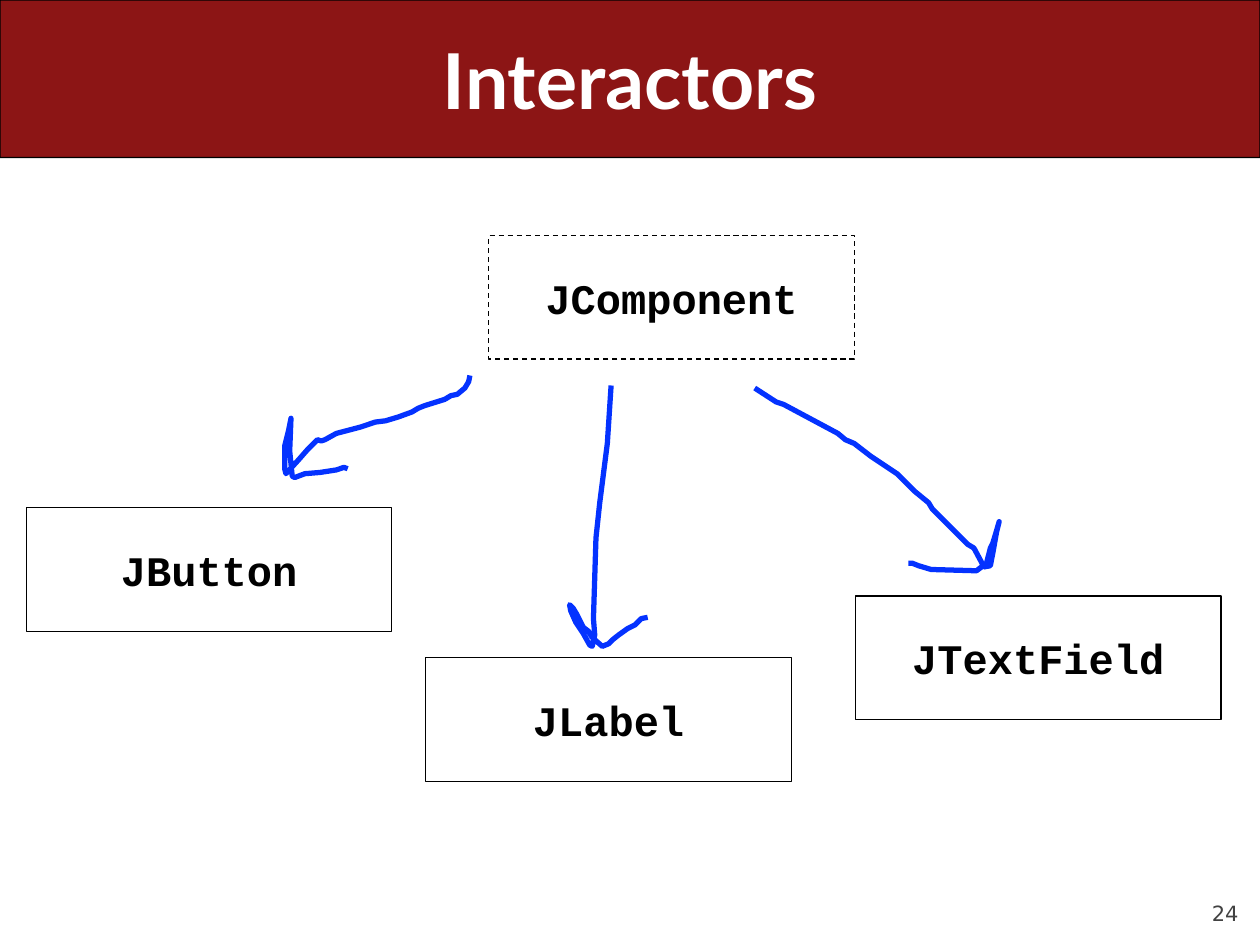
from pptx import Presentation
from pptx.dml.color import RGBColor
from pptx.enum.dml import MSO_LINE
from pptx.enum.shapes import MSO_SHAPE
from pptx.enum.text import MSO_ANCHOR, PP_ALIGN
from pptx.util import Inches, Pt

# The grid has 1000 columns and 750 rows of square cells.
COLS, ROWS = 1000, 750
CELL = Inches(10) // COLS
INK = {"band": "8C1515", "page": "FFFFFF", "text": "000000",
       "pen": "0432FF", "foot": "424242"}

NODE = (290, 98)
NODES = [("JComponent", 388, 187, True), ("JButton", 21, 403, False),
         ("JTextField", 679, 473, False), ("JLabel", 338, 522, False)]

# Each hand-drawn arrow: the corner of its box, then points from that corner.
ARROWS = [
    ((226, 298), [
        (147, 0), (146, 5), (143, 10), (137, 15), (132, 16), (127, 19),
        (111, 24), (106, 26), (101, 29), (90, 33), (80, 36), (72, 37),
        (60, 41), (41, 46), (32, 51), (29, 52), (26, 51), (18, 59),
        (11, 67), (1, 78), (0, 74), (0, 56), (3, 44), (5, 34), (4, 60),
        (6, 80), (8, 81), (16, 78), (28, 77), (41, 75), (47, 73), (50, 74)]),
    ((452, 306), [
        (33, 0), (30, 46), (24, 93), (21, 121), (19, 185), (20, 198),
        (18, 207), (16, 206), (11, 197), (5, 188), (1, 179), (0, 174),
        (3, 177), (6, 182), (11, 192), (15, 195), (18, 200), (26, 207),
        (31, 205), (34, 202), (39, 198), (46, 193), (52, 190), (57, 185),
        (62, 184)]),
    ((599, 308), [
        (0, 0), (17, 11), (23, 13), (66, 36), (72, 41), (79, 44), (92, 54),
        (113, 68), (127, 82), (138, 91), (141, 96), (148, 103), (164, 119),
        (169, 124), (174, 127), (182, 142), (187, 141), (189, 131),
        (192, 114), (194, 106), (192, 113), (189, 123), (187, 127),
        (184, 139), (176, 145), (140, 144), (130, 141), (125, 139),
        (122, 139)]),
]


def tint(name):
    return RGBColor.from_string(INK[name])


def span(box):
    """Turn a box in cells into lengths."""
    return [round(n * CELL) for n in box]


def write(shape, text, font, size, ink, align=PP_ALIGN.CENTER,
          anchor=MSO_ANCHOR.MIDDLE, bold=True, wrap=True):
    frame = shape.text_frame
    frame.word_wrap = wrap
    frame.vertical_anchor = anchor
    line = frame.paragraphs[0]
    line.text = text
    line.alignment = align
    line.font.name, line.font.size, line.font.bold = font, Pt(size), bold
    line.font.color.rgb = tint(ink)


def panel(slide, kind, box, fill):
    shape = slide.shapes.add_shape(kind, *span(box))
    shape.shadow.inherit = False
    shape.fill.solid()
    shape.fill.fore_color.rgb = tint(fill)
    shape.line.color.rgb = tint("text")
    shape.line.width = Pt(0.75)
    return shape


def header(slide, box, text):
    left, top, wide, high = box
    band = panel(slide, MSO_SHAPE.ROUNDED_RECTANGLE, box, "band")
    band.adjustments[0] = 0.001
    inner = (left + wide * 0.05, top, wide * 0.9, high)
    title = slide.shapes.add_textbox(*span(inner))
    write(title, text, "Lato", 44, "page")


def node(slide, box, text, dashed):
    shape = panel(slide, MSO_SHAPE.RECTANGLE, box, "page")
    if dashed:
        shape.line.dash_style = MSO_LINE.DASH
    write(shape, text, "Courier New", 24, "text", wrap=False)


def arrow(slide, corner, points):
    left, top = corner
    first, *rest = [(left + x, top + y) for x, y in points]
    pen = slide.shapes.build_freeform(*first, scale=CELL)
    pen.add_line_segments(rest, close=False)
    shape = pen.convert_to_shape()
    shape.shadow.inherit = False
    shape.fill.background()
    shape.line.color.rgb = tint("pen")
    shape.line.width = Pt(3)


def footer(slide, box, text):
    shape = slide.shapes.add_textbox(*span(box))
    frame = shape.text_frame
    frame.margin_left = frame.margin_right = 0
    frame.margin_top = frame.margin_bottom = 0
    write(shape, text, "DejaVu Sans", 12, "foot", PP_ALIGN.RIGHT,
          MSO_ANCHOR.BOTTOM, bold=False)
    frame.paragraphs[0].space_before = Pt(5)


def main():
    deck = Presentation()
    deck.slide_width, deck.slide_height = COLS * CELL, ROWS * CELL
    slide = deck.slides.add_slide(deck.slide_layouts[6])
    footer(slide, (900, 695, 83, 40), "24")
    header(slide, (0, 0, COLS, ROWS / 6), "Interactors")
    for text, left, top, dashed in NODES:
        node(slide, (left, top, *NODE), text, dashed)
    for corner, points in ARROWS:
        arrow(slide, corner, points)
    deck.save("out.pptx")


if __name__ == "__main__":
    main()
